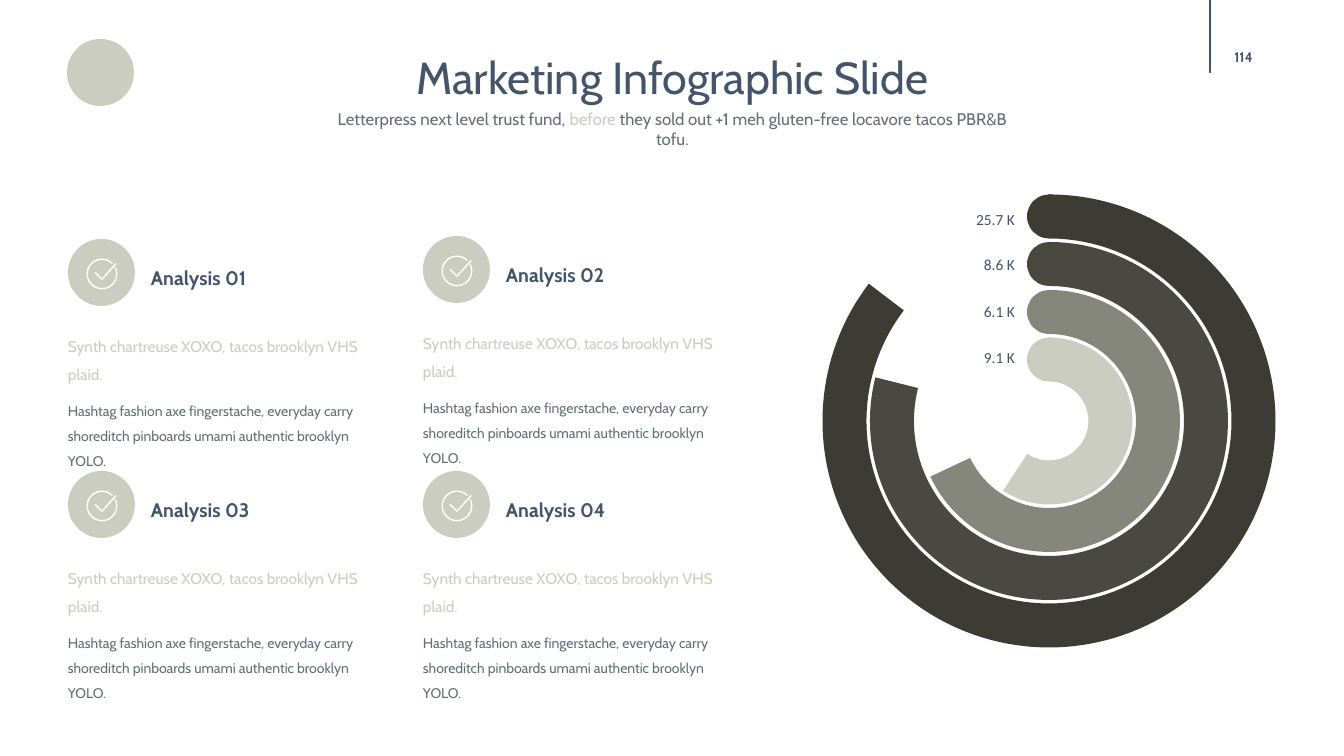
import math

import pptx
import pptx.dml.color
import pptx.enum.shapes
import pptx.enum.text
import pptx.oxml.ns
import pptx.util
from lxml import etree

PX = 914400 / 100.8
SHAPES = pptx.enum.shapes.MSO_SHAPE
ALIGN = pptx.enum.text.PP_ALIGN
ANCHOR = pptx.enum.text.MSO_ANCHOR

COLORS = {
    "navy": "44546A",
    "gray": "656D78",
    "sage": "CBCDC0",
    "olive": "85877C",
    "moss": "494941",
    "charcoal": "3C3C34",
    "white": "FFFFFF",
}

# label, label top, end angle of the mirrored arc in degrees, color
RINGS = [
    ("25.7 K", 210, 322.7, "charcoal"),
    ("8.6 K", 255, 345.9, "moss"),
    ("6.1 K", 302, 25.13, "olive"),
    ("9.1 K", 348, 56.73, "sage"),
]
RING_CENTER = (1049, 421)
RING_DIAMETER = 453
RING_STEP = 95.33
RING_WIDTH = 44

CARDS = [
    ("Analysis 01", 68, 239),
    ("Analysis 02", 423, 236),
    ("Analysis 03", 68, 471),
    ("Analysis 04", 423, 471),
]
CARD_LEAD = "Synth chartreuse XOXO, tacos brooklyn VHS plaid."
CARD_BODY = (
    "Hashtag fashion axe fingerstache, everyday carry shoreditch "
    "pinboards umami authentic brooklyn YOLO."
)
# Tenths of a px from the center of the icon
TICK = [(-65, -20), (0, 43), (138, -110), (150, -100), (0, 61), (-77, -13)]


def emu(pixels):
    return pptx.util.Emu(round(pixels * PX))


def rgb(name):
    return pptx.dml.color.RGBColor.from_string(COLORS[name])


def paint(shape, color):
    shape.shadow.inherit = False
    shape.fill.solid()
    shape.fill.fore_color.rgb = rgb(color)
    shape.line.fill.background()


def add_filled_shape(slide, kind, left, top, width, height, color):
    shape = slide.shapes.add_shape(kind, *map(emu, (left, top, width, height)))
    paint(shape, color)
    return shape


def add_text_frame(slide, left, top, width, height, anchor=ANCHOR.TOP):
    box = slide.shapes.add_textbox(*map(emu, (left, top, width, height)))
    frame = box.text_frame
    frame.word_wrap = True
    frame.vertical_anchor = anchor
    frame.margin_left = frame.margin_right = 0
    frame.margin_top = frame.margin_bottom = 0
    return frame


def write_text(paragraph, text, *, size, color, font="Cabin", bold=False,
               align=ALIGN.LEFT, line_spacing=1.0, space_before=0):
    """Append one run to the paragraph and set the paragraph's format."""
    paragraph.alignment = align
    paragraph.line_spacing = line_spacing
    paragraph.space_before = pptx.util.Pt(space_before)
    run = paragraph.add_run()
    run.text = text
    run.font.name = font
    run.font.size = pptx.util.Pt(size)
    run.font.bold = bold
    run.font.color.rgb = rgb(color)


def arc_points(radius, start, end):
    """Points on a circle about the origin, every five degrees."""
    count = round(abs(end - start) / 5)
    angles = (math.radians(start + (end - start) * step / count)
              for step in range(count + 1))
    return [(radius * math.cos(angle), radius * math.sin(angle)) for angle in angles]


def add_check_icon(slide, center_x, center_y):
    ring = arc_points(154, -26, 315) + arc_points(140, 315, -26)
    builder = slide.shapes.build_freeform(*ring[0], scale=PX / 10)
    builder.add_line_segments(ring[1:], close=True)
    builder.move_to(*TICK[0])
    builder.add_line_segments(TICK[1:], close=True)
    paint(builder.convert_to_shape(emu(center_x), emu(center_y)), "white")


def add_card(slide, title, left, top):
    badge = add_filled_shape(slide, SHAPES.ROUNDED_RECTANGLE, left, top, 67, 67, "sage")
    badge.adjustments[0] = 0.5
    add_check_icon(slide, left + 34, top + 35)

    heading = add_text_frame(slide, left + 83, top + 21, 195, 28, ANCHOR.MIDDLE)
    write_text(heading.paragraphs[0], title, size=14, color="navy", bold=True,
               line_spacing=1.3)

    body = add_text_frame(slide, left, top + 89, 312, 88)
    write_text(body.paragraphs[0], CARD_LEAD, size=11, color="sage", line_spacing=1.5)
    write_text(body.add_paragraph(), CARD_BODY, size=10, color="gray",
               line_spacing=1.5, space_before=7.5)


def add_ring(slide, index, label, label_top, end_angle, color):
    """Draw one arc with its round cap at the top and its value beside it."""
    center_x, center_y = RING_CENTER
    diameter = round(RING_DIAMETER - RING_STEP * index)
    left, top = center_x - diameter / 2, center_y - diameter / 2
    arc = add_filled_shape(slide, SHAPES.BLOCK_ARC, left, top, diameter, diameter, color)
    # Angles count 60000 per degree, adjustments 100000 per unit
    arc.adjustments[0] = end_angle * 0.6
    arc.adjustments[1] = 270.2 * 0.6
    arc.adjustments[2] = RING_WIDTH / diameter
    arc.element.spPr.find(pptx.oxml.ns.qn("a:xfrm")).set("flipH", "1")

    add_filled_shape(slide, SHAPES.OVAL, center_x - RING_WIDTH / 2, top,
                     RING_WIDTH, RING_WIDTH, color)
    frame = add_text_frame(slide, 955, label_top, 60, 19)
    write_text(frame.paragraphs[0], label, size=11, color="navy", font="Calibri",
               align=ALIGN.RIGHT)


def add_rule(slide, start_x, start_y, end_x, end_y):
    rule = slide.shapes.add_connector(
        pptx.enum.shapes.MSO_CONNECTOR.STRAIGHT,
        *map(emu, (start_x, start_y, end_x, end_y)))
    rule.line.color.rgb = rgb("navy")
    rule.line.width = pptx.util.Pt(1)
    etree.SubElement(rule.element.spPr, pptx.oxml.ns.qn("a:effectLst"))


def add_header(slide):
    add_filled_shape(slide, SHAPES.OVAL, 67, 39, 67, 67, "sage")
    add_rule(slide, 1210, 0, 1210, 73)

    number = add_text_frame(slide, 1203, 37, 81, 40, ANCHOR.MIDDLE)
    write_text(number.paragraphs[0], "114", size=10, color="navy", bold=True,
               align=ALIGN.CENTER)

    title = add_text_frame(slide, 256, 50, 833, 55)
    write_text(title.paragraphs[0], "Marketing Infographic Slide", size=32,
               color="navy", align=ALIGN.CENTER)

    subtitle = add_text_frame(slide, 332, 109, 681, 40)
    for text, color in [
        ("Letterpress next level trust fund, ", "gray"),
        ("before", "sage"),
        (" they sold out +1 meh gluten-free locavore tacos PBR&B tofu.", "gray"),
    ]:
        write_text(subtitle.paragraphs[0], text, size=12, color=color,
                   align=ALIGN.CENTER)


def main():
    presentation = pptx.Presentation()
    presentation.slide_width = emu(1344)
    presentation.slide_height = emu(756)
    slide = presentation.slides.add_slide(presentation.slide_layouts[6])
    add_header(slide)
    for index, ring in enumerate(RINGS):
        add_ring(slide, index, *ring)
    for card in CARDS:
        add_card(slide, *card)
    presentation.save("out.pptx")


if __name__ == "__main__":
    main()
